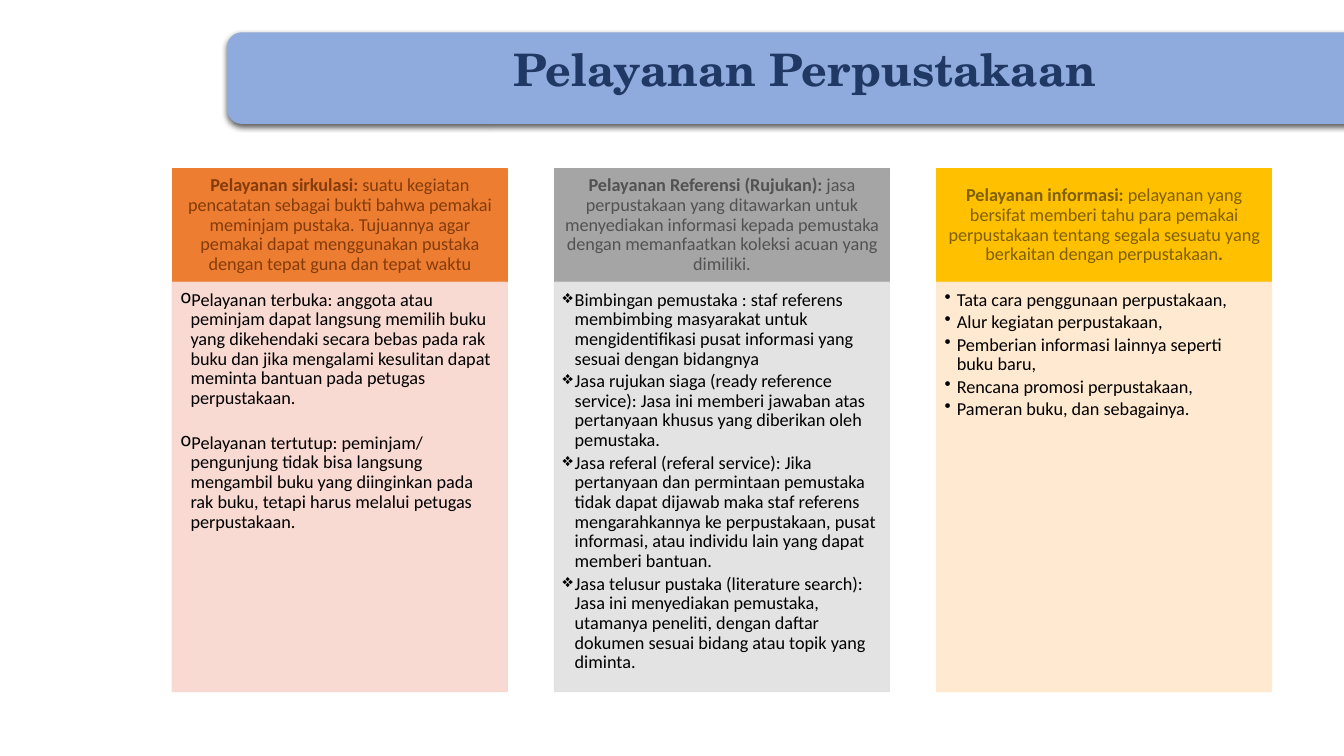
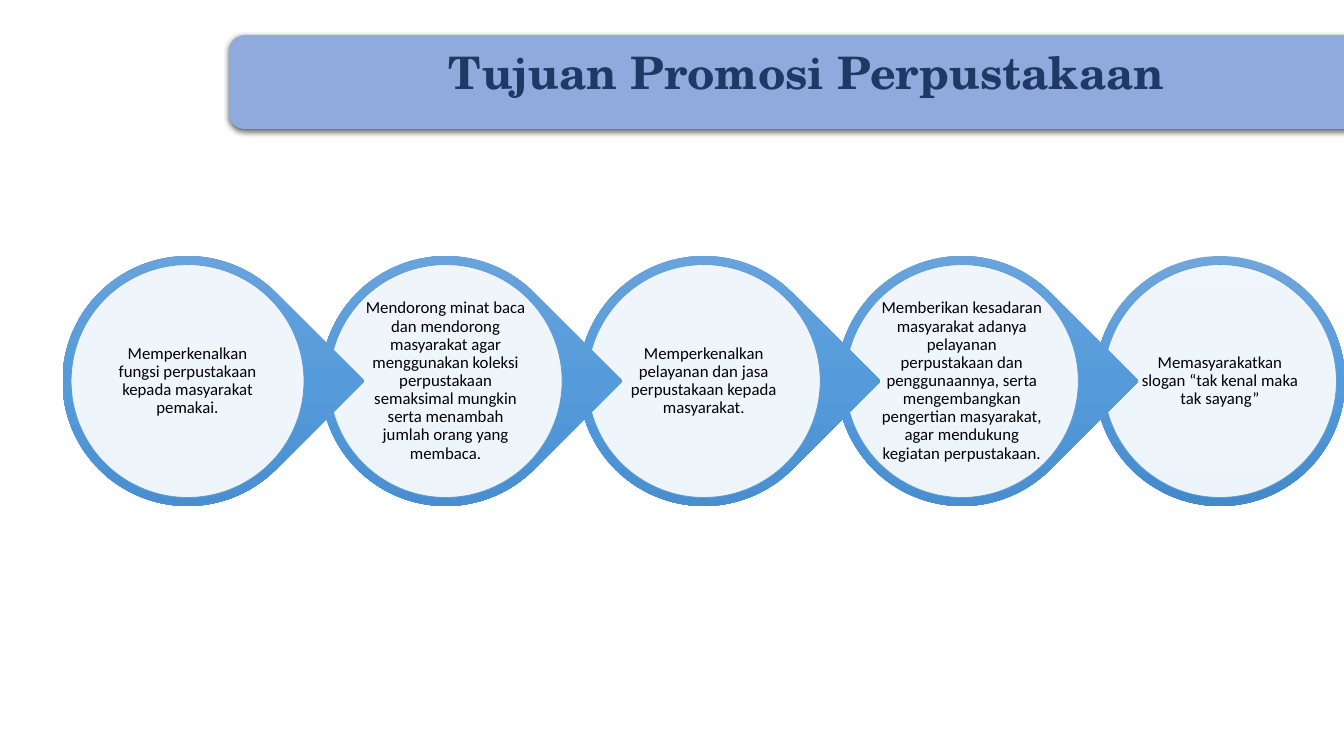
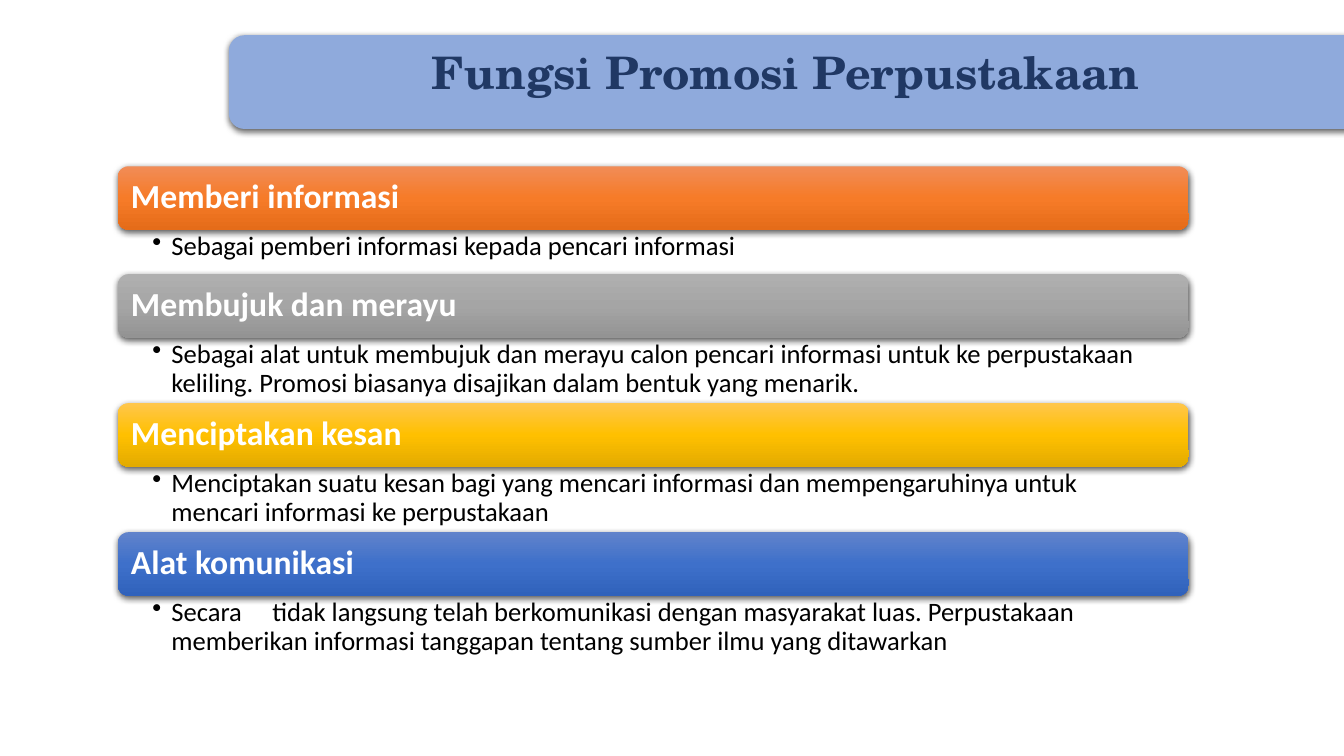
"""Build three slides on library services and library promotion."""
import pptx
import pptx.util
import pptx.dml.color
import pptx.enum.shapes
import pptx.enum.text
import pptx.oxml
import pptx.oxml.ns

Inches, Pt = pptx.util.Inches, pptx.util.Pt
SHAPE = pptx.enum.shapes.MSO_SHAPE
ANCHOR = pptx.enum.text.MSO_ANCHOR
ALIGN = pptx.enum.text.PP_ALIGN
qn = pptx.oxml.ns.qn

BODY_FONT, TITLE_FONT = "Calibri", "TeX Gyre Schola"
BLACK, WHITE = "000000", "FFFFFF"
BAND, TITLE_INK = "8FAADC", "203864"
RING, RING_LINE = ("71A6DB", "559BDB", "448ACA"), "5B9BD5"

SERVICES = [
    {
        "colors": ("ED7D31", "843C0B", "F8D7CE"),
        "head": [
            ("Pelayanan sirkulasi: ", True),
            ("suatu kegiatan pencatatan sebagai bukti bahwa pemakai meminjam pustaka. Tujuannya agar pemakai dapat menggunakan pustaka dengan tepat guna dan tepat waktu", False),
        ],
        "bullet": "o", "indent": 0.1, "gap": 16,
        "items": [
            "Pelayanan terbuka: anggota atau peminjam dapat langsung memilih buku yang dikehendaki secara bebas pada rak buku dan jika mengalami kesulitan dapat meminta bantuan pada petugas perpustakaan.",
            "Pelayanan tertutup: peminjam/ pengunjung tidak bisa langsung mengambil buku yang diinginkan pada rak buku, tetapi harus melalui petugas perpustakaan.",
        ],
    },
    {
        "colors": ("A5A5A5", "525252", "E1E1E1"),
        "head": [
            ("Pelayanan Referensi (Rujukan): ", True),
            ("jasa perpustakaan yang ditawarkan untuk menyediakan informasi kepada pemustaka dengan memanfaatkan koleksi acuan yang dimiliki.", False),
        ],
        "bullet": "❖", "indent": 0.12, "gap": 0,
        "items": [
            "Bimbingan pemustaka : staf referens membimbing masyarakat untuk mengidentifikasi pusat informasi yang sesuai dengan bidangnya",
            "Jasa rujukan siaga (ready reference service): Jasa ini memberi jawaban atas pertanyaan khusus yang diberikan oleh pemustaka.",
            "Jasa referal (referal service): Jika pertanyaan dan permintaan pemustaka tidak dapat dijawab maka staf referens mengarahkannya ke perpustakaan, pusat informasi, atau individu lain yang dapat memberi bantuan.",
            "Jasa telusur pustaka (literature search): Jasa ini menyediakan pemustaka, utamanya peneliti, dengan daftar dokumen sesuai bidang atau topik yang diminta.",
        ],
    },
    {
        "colors": ("FFC000", "806000", "FFE8CC"),
        "head": [
            ("Pelayanan informasi: ", True),
            ("pelayanan yang bersifat memberi tahu para pemakai perpustakaan tentang segala sesuatu yang berkaitan dengan perpustakaan", False),
            (".", True),
        ],
        "bullet": "•", "indent": 0.12, "gap": 0,
        "items": [
            "Tata cara penggunaan perpustakaan,",
            "Alur kegiatan perpustakaan,",
            "Pemberian informasi lainnya seperti buku baru,",
            "Rencana promosi perpustakaan,",
            "Pameran buku, dan sebagainya.",
        ],
    },
]

GOALS = [
    "Memperkenalkan fungsi perpustakaan kepada masyarakat pemakai.",
    "Mendorong minat baca dan mendorong masyarakat agar menggunakan koleksi perpustakaan semaksimal mungkin serta menambah jumlah orang yang membaca.",
    "Memperkenalkan pelayanan dan jasa perpustakaan kepada masyarakat.",
    "Memberikan kesadaran masyarakat adanya pelayanan perpustakaan dan penggunaannya, serta mengembangkan pengertian masyarakat, agar mendukung kegiatan perpustakaan.",
    "Memasyarakatkan slogan “tak kenal maka tak sayang”",
]

FUNCTIONS = [
    ("Memberi informasi", ("F18C57", "F67B28", "E56C19"), 0.44,
     "Sebagai pemberi informasi kepada pencari informasi"),
    ("Membujuk dan merayu", ("AFAFAF", "A5A5A5", "939393"), 0.65,
     "Sebagai alat untuk membujuk dan merayu calon pencari informasi untuk ke perpustakaan keliling. Promosi biasanya disajikan dalam bentuk yang menarik."),
    ("Menciptakan kesan", ("FFC64B", "FFC000", "E3AB00"), 0.65,
     "Menciptakan suatu kesan bagi yang mencari informasi dan mempengaruhinya untuk mencari informasi ke perpustakaan"),
    ("Alat komunikasi", ("6183CB", "3E70CA", "3062BB"), 0.65,
     "Secara\ttidak langsung telah berkomunikasi dengan masyarakat luas. Perpustakaan memberikan informasi tanggapan tentang sumber ilmu yang ditawarkan"),
]


def rgb(code):
    """Turn a hex string into a colour."""
    return pptx.dml.color.RGBColor.from_string(code)


def xml(markup):
    """Parse one drawing element given without its namespace."""
    name, rest = markup[1:].split(" ", 1)
    space = 'xmlns:a="http://schemas.openxmlformats.org/drawingml/2006/main"'
    return pptx.oxml.parse_xml(f"<{name} {space} {rest}")


def paint(fill, parent, color, alpha):
    """Fill with one colour, see-through when alpha is below 100."""
    fill.solid()
    fill.fore_color.rgb = rgb(color)
    if alpha < 100:
        tint = parent.find(qn("a:solidFill")).find(qn("a:srgbClr"))
        tint.append(xml(f'<a:alpha val="{alpha * 1000}"/>'))


def add_block(page, kind, at, fill, line=None, width=1, alpha=100, line_alpha=100, shadow=False):
    """Add a preset shape; a tuple of three fill colours is a vertical gradient."""
    block = page.shapes.add_shape(kind, *map(Inches, at))
    props = block._element.spPr
    block.shadow.inherit = False
    if isinstance(fill, tuple):
        stops = "".join(f'<a:gs pos="{i * 50000}"><a:srgbClr val="{c}"/></a:gs>' for i, c in enumerate(fill))
        block.fill.solid()
        props.replace(props.find(qn("a:solidFill")), xml(
            f'<a:gradFill rotWithShape="0"><a:gsLst>{stops}</a:gsLst><a:lin ang="5400000" scaled="0"/></a:gradFill>'))
    else:
        paint(block.fill, props, fill, alpha)
    if line:
        paint(block.line.fill, props.find(qn("a:ln")), line, line_alpha)
        block.line.width = Pt(width)
    else:
        block.line.fill.background()
    if shadow:
        props.find(qn("a:effectLst")).append(xml(
            '<a:outerShdw blurRad="57150" dist="19050" dir="5400000" algn="ctr" rotWithShape="0">'
            '<a:srgbClr val="000000"><a:alpha val="63000"/></a:srgbClr></a:outerShdw>'))
    return block


def write(box, paras, size, color, font=BODY_FONT, align=ALIGN.LEFT, anchor=ANCHOR.TOP,
          insets=(0.1, 0.05, 0.1, 0.05), spacing=0.9, after=0, gap=0, bullet=None, indent=0.0, tab=None):
    """Write paragraphs, each a list of (text, bold) runs, into a shape."""
    frame = box.text_frame
    frame.word_wrap = True
    frame.vertical_anchor = anchor
    frame.margin_left, frame.margin_top, frame.margin_right, frame.margin_bottom = map(Inches, insets)
    for index, runs in enumerate(paras):
        para = frame.add_paragraph() if index else frame.paragraphs[0]
        para.alignment = align
        para.line_spacing = spacing
        para.space_before = Pt(gap if index else 0)
        para.space_after = Pt(after)
        props = para._p.get_or_add_pPr()
        props.set("marL", str(Inches(indent)))
        if bullet:
            props.set("indent", str(-Inches(indent)))
            props.append(xml(f'<a:buChar char="{bullet}"/>'))
        if tab:
            props.append(xml(f'<a:tabLst ><a:tab pos="{Inches(tab)}" algn="l"/></a:tabLst>'))
        for text, bold in runs:
            span = para.add_run()
            span.text = text
            span.font.name, span.font.size, span.font.bold = font, Pt(size), bold
            span.font.color.rgb = rgb(color)


def add_page(deck, title, top=0.35, height=0.93, align=ALIGN.CENTER, left=2.27, indent=0.0):
    """Add a blank page with the title band."""
    page = deck.slides.add_slide(deck.slide_layouts[6])
    band = add_block(page, SHAPE.ROUNDED_RECTANGLE, (left, top, 11.47, height), BAND, shadow=True)
    write(band, [[(title, True)]], 32, TITLE_INK, TITLE_FONT, align, spacing=1.0, indent=indent)
    return page


def build_services(deck):
    """Three columns, each with a heading and a list."""
    page = add_page(deck, "Pelayanan Perpustakaan", top=0.32, height=0.91, left=2.25)
    for index, service in enumerate(SERVICES):
        left = 1.71 + index * 3.79
        strong, ink, pale = service["colors"]
        head = add_block(page, SHAPE.RECTANGLE, (left, 1.67, 3.32, 1.13), strong, strong)
        write(head, [service["head"]], 13, ink, align=ALIGN.CENTER, anchor=ANCHOR.MIDDLE,
              insets=(0.1, 0.06, 0.1, 0.06))
        body = add_block(page, SHAPE.RECTANGLE, (left, 2.8, 3.32, 4.06), pale, pale, alpha=90, line_alpha=90)
        write(body, [[(item, False)] for item in service["items"]], 13, BLACK,
              insets=(0.08, 0.08, 0.1, 0.11), after=2, gap=service["gap"],
              bullet=service["bullet"], indent=service["indent"])


def build_goals(deck):
    """A chain of discs, the last one without a point."""
    page = add_page(deck, "Tujuan Promosi Perpustakaan")
    ring_size, disc_size, top = 2.48, 2.31, 2.54
    rim = (ring_size - disc_size) / 2
    last = len(GOALS) - 1
    for index in range(last, -1, -1):
        left = 0.62 + index * 2.56
        kind = SHAPE.OVAL if index == last else SHAPE.TEAR
        ring = add_block(page, kind, (left, top, ring_size, ring_size), RING)
        ring.rotation = 0 if index == last else 45
        disc = add_block(page, SHAPE.OVAL, (left + rim, top + rim, disc_size, disc_size),
                         WHITE, RING_LINE, 0.5, alpha=90)
        write(disc, [[(GOALS[index], False)]], 12, BLACK, align=ALIGN.CENTER,
              anchor=ANCHOR.MIDDLE, insets=(0.01,) * 4)


def build_functions(deck):
    """Four stacked headings, each with a bullet below."""
    page = add_page(deck, "Fungsi Promosi Perpustakaan", align=ALIGN.LEFT, indent=1.87)
    left, top, width, bar_height = 1.17, 1.65, 10.62, 0.63
    for name, shades, body_height, detail in FUNCTIONS:
        bar = add_block(page, SHAPE.ROUNDED_RECTANGLE, (left, top, width, bar_height), shades, shadow=True)
        write(bar, [[(name, True)]], 24, WHITE, anchor=ANCHOR.MIDDLE, insets=(0.1,) * 4)
        top += bar_height
        box = page.shapes.add_textbox(*map(Inches, (left, top, width, body_height)))
        write(box, [[(detail, False)]], 19, BLACK, insets=(0.34, 0.03, 0.19, 0.03),
              bullet="•", indent=0.19, tab=1.19 if "\t" in detail else None)
        top += body_height


def main():
    """Build and save the deck."""
    deck = pptx.Presentation()
    deck.slide_width, deck.slide_height = Inches(13.33), Inches(7.5)
    build_services(deck)
    build_goals(deck)
    build_functions(deck)
    deck.save("out.pptx")


if __name__ == "__main__":
    main()
